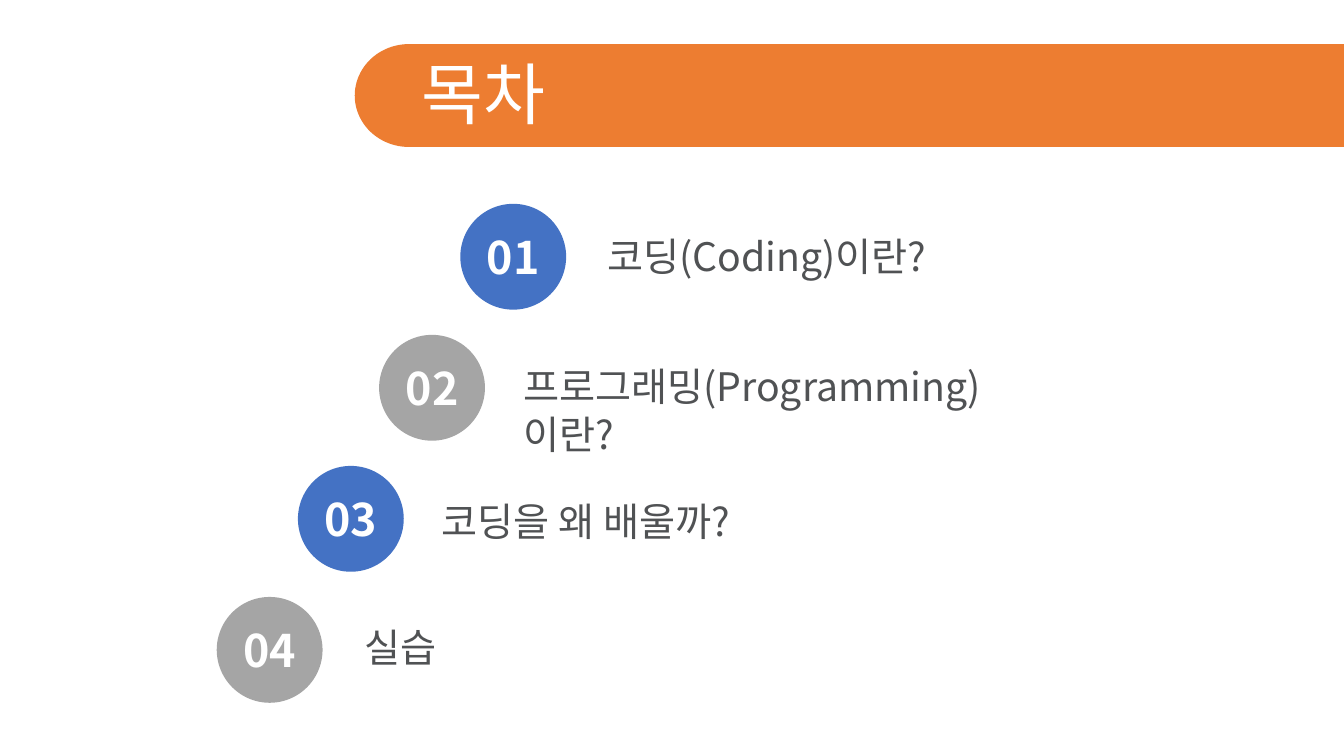
from math import cos, pi, sin
from lxml.etree import SubElement
from pptx import Presentation
from pptx.dml.color import RGBColor
from pptx.enum.shapes import MSO_SHAPE
from pptx.enum.text import MSO_ANCHOR, PP_ALIGN
from pptx.oxml.ns import qn
from pptx.util import Pt

theme = {
    "orange": RGBColor.from_string("ED7D31"),
    "blue": RGBColor.from_string("4472C4"),
    "gray": RGBColor.from_string("A5A5A5"),
    "white": RGBColor.from_string("FFFFFF"),
    "text": RGBColor.from_string("505254"),
    "title_font": "Arial",
    "font": "Noto Sans CJK KR",
    "title_size": Pt(48),
    "number_size": Pt(32),
    "item_size": Pt(28),
}


def paint(sp, color):
    sp.shadow.inherit = False
    sp.fill.solid()
    sp.fill.fore_color.rgb = theme[color]
    sp.line.fill.background()


def add_text(box, text, font, size, color, anchor, align=PP_ALIGN.LEFT, bold=False):
    tf = s.shapes.add_textbox(*map(Pt, box)).text_frame
    tf.word_wrap = True
    tf.vertical_anchor = anchor
    p = tf.paragraphs[0]
    p.alignment = align
    r = p.add_run()
    r.text = text
    r.font.name = theme[font]
    r.font.size = theme[size]
    r.font.bold = bold
    r.font.color.rgb = theme[color]
    SubElement(r.font._element, qn("a:ea"), typeface=theme["font"])


prs = Presentation()
prs.slide_width, prs.slide_height = Pt(960), Pt(540)
s = prs.slides.add_slide(prs.slide_layouts[6])

cap_x, cap_y, cap_rx, cap_ry = 292.2, 68.25, 38.8, 36.75
steps = 48
cap = []
for i in range(steps + 1):
    angle = pi / 2 + pi * i / steps
    cap.append((Pt(cap_x + cap_rx * cos(angle)), Pt(cap_y - cap_ry * sin(angle))))
builder = s.shapes.build_freeform(Pt(960), Pt(cap_y - cap_ry))
builder.add_line_segments(cap + [(Pt(960), Pt(cap_y + cap_ry))], close=True)
paint(builder.convert_to_shape(), "orange")
add_text((294, 36, 666, 60.5), "목차", "title_font", "title_size", "white", MSO_ANCHOR.MIDDLE)

items = [
    ("코딩(Coding)이란?", 427, 162.7, 258),
    ("프로그래밍(Programming)이란?", 366.8, 255.6, 384.5),
    ("코딩을 왜 배울까?", 308.6, 352, 384.5),
    ("실습", 253.4, 441.4, 384.5),
]
diameter = 75.6
for i, (text, text_x, text_y, text_w) in enumerate(items):
    x, y = 328.8 - 58 * i, 145.6 + 93.6 * i
    sp = s.shapes.add_shape(MSO_SHAPE.OVAL, Pt(x), Pt(y), Pt(diameter), Pt(diameter))
    paint(sp, ("blue", "gray")[i % 2])
    add_text((x, y + 14.8, diameter, 46), f"{i + 1:02}", "font", "number_size", "white",
             MSO_ANCHOR.MIDDLE, PP_ALIGN.CENTER, True)
    add_text((text_x, text_y, text_w, 41), text, "font", "item_size", "text", MSO_ANCHOR.TOP)

prs.save("out.pptx")
